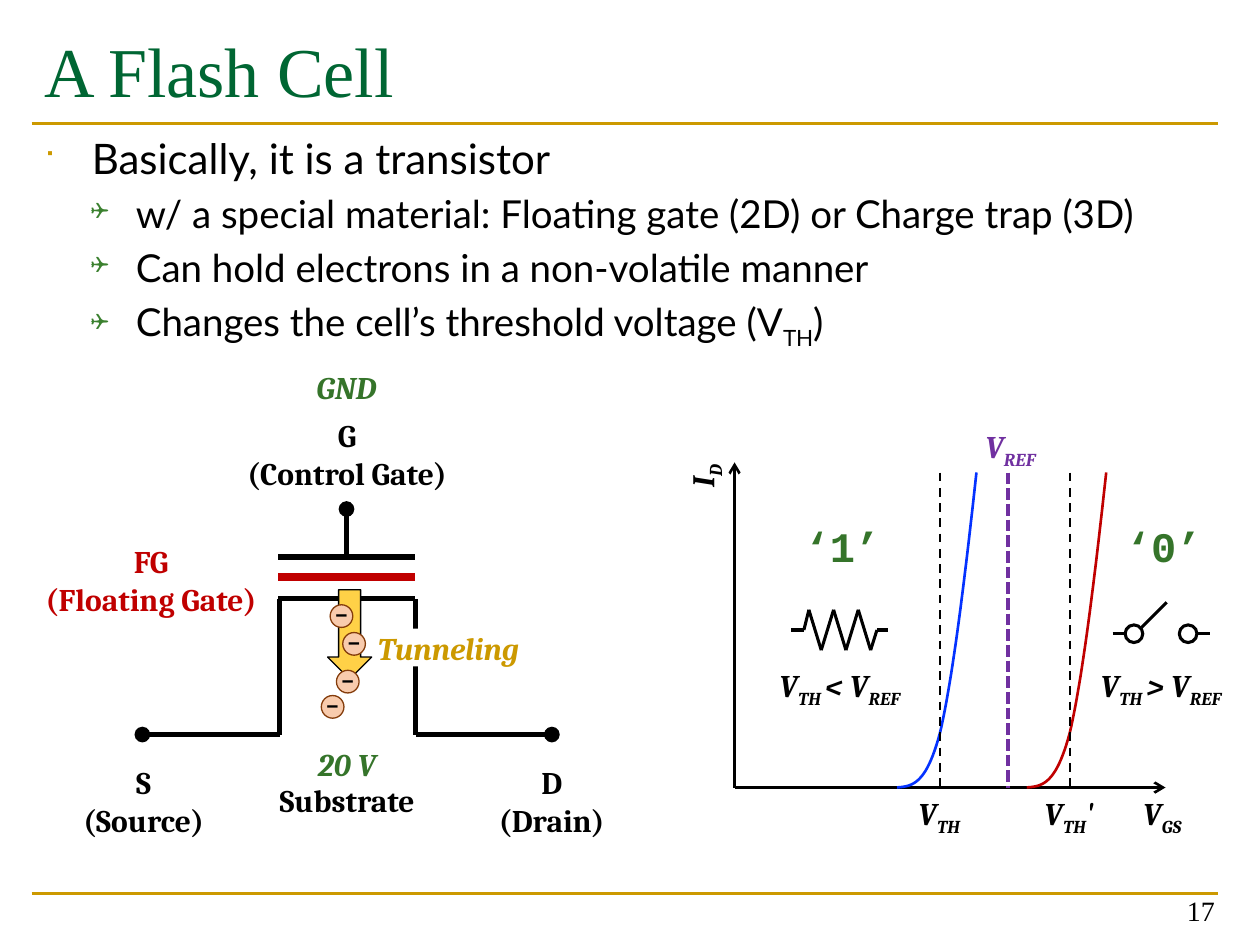
from itertools import pairwise

from lxml import etree
from pptx import Presentation
from pptx.dml.color import RGBColor
from pptx.enum.dml import MSO_LINE
from pptx.enum.shapes import MSO_CONNECTOR, MSO_SHAPE
from pptx.enum.text import MSO_ANCHOR, PP_ALIGN
from pptx.oxml.ns import qn
from pptx.util import Inches, Pt

STRAIGHT = MSO_CONNECTOR.STRAIGHT
RECT, OVAL, DOWN = MSO_SHAPE.RECTANGLE, MSO_SHAPE.OVAL, MSO_SHAPE.DOWN_ARROW
DASH, SHORT_DASH = MSO_LINE.DASH, MSO_LINE.SQUARE_DOT
LEFT, CENTER, RIGHT = PP_ALIGN.LEFT, PP_ALIGN.CENTER, PP_ALIGN.RIGHT
TOP, MIDDLE, BOTTOM = MSO_ANCHOR.TOP, MSO_ANCHOR.MIDDLE, MSO_ANCHOR.BOTTOM

BLACK = RGBColor(0x00, 0x00, 0x00)
WHITE = RGBColor(0xFF, 0xFF, 0xFF)
GOLD = RGBColor(0xCC, 0x99, 0x00)
TITLE_GREEN = RGBColor(0x00, 0x66, 0x33)
BULLET_GREEN = RGBColor(0x3B, 0x81, 0x2F)
GREEN = RGBColor(0x35, 0x74, 0x2A)
RED = RGBColor(0xC0, 0x00, 0x00)
BLUE = RGBColor(0x04, 0x32, 0xFF)
PURPLE = RGBColor(0x70, 0x30, 0xA0)
YELLOW = RGBColor(0xFF, 0xD1, 0x47)
PEACH = RGBColor(0xF8, 0xCB, 0xAD)
BROWN = RGBColor(0x84, 0x3C, 0x0B)

SERIF, BODY, MONO, LABEL = "Times New Roman", "Lato", "Courier New", "Cambria"
MARGIN, CONTENT_W = 0.25, 9.42
PLOT_TOP, PLOT_BASE = 3.75, 6.25


def box(x, y, w, h):
    return [Inches(v) for v in (x, y, w, h)]


def write(p, text, size, font, color, bold=False, italic=False):
    """Fill a paragraph; every second part between bars is a subscript."""
    for i, part in enumerate(text.split("|")):
        r = p.add_run()
        r.text = part
        f = r.font
        f.size, f.name, f.bold, f.italic = Pt(size), font, bold, italic
        f.color.rgb = color
        if i % 2:
            r._r.get_or_add_rPr().set("baseline", "-25000")


def label(s, text, x, y, w, h=0.4, color=BLACK, italic=False, size=18,
          font=LABEL, bold=True, align=CENTER, anchor=MIDDLE):
    sp = s.shapes.add_textbox(*box(x, y, w, h))
    tf = sp.text_frame
    tf.word_wrap = False
    tf.vertical_anchor = anchor
    for i, row in enumerate(text.split("\n")):
        p = tf.add_paragraph() if i else tf.paragraphs[0]
        p.alignment = align
        write(p, row, size, font, color, bold, italic)
    return sp


def line(s, x1, y1, x2, y2, width=1.75, color=BLACK, dash=None, tail=None):
    sp = s.shapes.add_connector(STRAIGHT, *box(x1, y1, x2, y2))
    sp.line.width, sp.line.color.rgb = Pt(width), color
    if dash:
        sp.line.dash_style = dash
    if tail:
        etree.SubElement(sp.line._get_or_add_ln(), qn("a:tailEnd"), type=tail)
    etree.SubElement(sp._element.spPr, qn("a:effectLst"))


def shape(s, kind, x, y, w, h, fill, outline=None, width=0.75):
    sp = s.shapes.add_shape(kind, *box(x, y, w, h))
    sp.shadow.inherit = False
    sp.fill.solid()
    sp.fill.fore_color.rgb = fill
    if outline is None:
        sp.line.fill.background()
    else:
        sp.line.color.rgb, sp.line.width = outline, Pt(width)
    tf = sp.text_frame
    tf.vertical_anchor = MIDDLE
    tf.paragraphs[0].alignment = CENTER
    return sp


def bullet(p, char, color, size_pct, margin, indent):
    pPr = p._p.get_or_add_pPr()
    pPr.set("marL", str(Inches(margin)))
    pPr.set("indent", str(Inches(-indent)))
    clr = etree.SubElement(pPr, qn("a:buClr"))
    etree.SubElement(clr, qn("a:srgbClr"), val=str(color))
    etree.SubElement(pPr, qn("a:buSzPct"), val=str(size_pct * 1000))
    etree.SubElement(pPr, qn("a:buFont"), typeface="Wingdings")
    etree.SubElement(pPr, qn("a:buChar"), char=char)


def bezier(p0, p1, p2, p3, steps=24):
    for i in range(steps + 1):
        t = i / steps
        u = 1 - t
        yield tuple(u**3 * a + 3 * u * u * t * b + 3 * u * t * t * c + t**3 * d
                    for a, b, c, d in zip(p0, p1, p2, p3))


def current_curve(s, x, color):
    """Threshold curve that crosses its dashed marker at x."""
    knee = (x, 5.82)
    upper = bezier((x + 0.29, PLOT_TOP), (x + 0.2, 4.58), (x + 0.1, 5.4), knee)
    lower = bezier(knee, (x - 0.11, 6.23), (x - 0.22, 6.24),
                   (x - 0.34, PLOT_BASE))
    pts = [(Inches(a), Inches(b)) for a, b in [*upper, *lower]]
    fb = s.shapes.build_freeform(*pts[0])
    fb.add_line_segments(pts[1:], close=False)
    sp = fb.convert_to_shape()
    sp.shadow.inherit = False
    sp.fill.background()
    sp.line.color.rgb, sp.line.width = color, Pt(1.5)


def frame_and_text(s):
    for y in (0.98, 7.09):
        line(s, MARGIN, y, MARGIN + CONTENT_W, y, 1.5, GOLD)

    title = s.shapes.title
    title.left, title.top, title.width, title.height = box(
        MARGIN, 0.17, CONTENT_W, 1.17)
    tf = title.text_frame
    tf.text = "A Flash Cell"
    tf.vertical_anchor = TOP
    p = tf.paragraphs[0]
    p.alignment = LEFT
    f = p.runs[0].font
    f.size, f.name, f.color.rgb = Pt(40), SERIF, TITLE_GREEN

    label(s, "17", 7.41, 6.91, 2.33, 0.5, size=16, font=SERIF, bold=False,
          align=RIGHT, anchor=BOTTOM)

    tf = s.shapes.add_textbox(*box(MARGIN, 1, CONTENT_W, 1.9)).text_frame
    tf.word_wrap = True
    rows = ["Basically, it is a transistor",
            "w/ a special material: Floating gate (2D) or Charge trap (3D)",
            "Can hold electrons in a non-volatile manner",
            "Changes the cell’s threshold voltage (V|TH|)"]
    for i, text in enumerate(rows):
        p = tf.add_paragraph() if i else tf.paragraphs[0]
        size = 22 if i else 24
        p.level = 1 if i else 0
        p.space_before = Pt(size * 0.2)
        if i:
            bullet(p, "❑", BULLET_GREEN, 60, 0.73, 0.36)
        else:
            bullet(p, "■", GOLD, 65, 0.38, 0.38)
        write(p, text, size, BODY, BLACK)


def transistor(s):
    left, right, mid, base, top = 2.22, 3.3, 2.75, 5.83, 4.75
    # Source and drain leads, channel, gates
    for wall, end in ((left, 1.13), (right, 4.38)):
        line(s, wall, base, end, base, 3, tail="oval")
        line(s, wall, base, wall, top, 3)
    for y, width, color in ((top, 3, BLACK), (4.42, 3, BLACK), (4.58, 4.5, RED)):
        line(s, left - 0.01, y, right - 0.01, y, width, color)
    line(s, mid, 4.42, mid, 4.04, 3, tail="oval")

    label(s, "S\n(Source)", 0.54, 6, 1.2, 0.71)
    label(s, "D\n(Drain)", 3.85, 6, 1.06, 0.71)
    label(s, "Substrate", 2.1, 6.15, 1.31)
    label(s, "G\n(Control Gate)", 1.83, 3.25, 1.85, 0.71)
    label(s, "FG\n(Floating Gate)", 0.23, 4.25, 1.94, 0.71, RED)
    label(s, "GND", 2.33, 2.87, 0.84, color=GREEN, italic=True)
    label(s, "20 V", 1.76, 5.86, 1.99, color=GREEN, italic=True)

    # Electrons tunnelling out of the floating gate
    shape(s, DOWN, 2.6, 4.68, 0.35, 0.71, YELLOW, BLACK)
    tf = shape(s, RECT, 2.98, 4.99, 1.16, 0.3, WHITE).text_frame
    tf.margin_left = tf.margin_right = 0
    tf.word_wrap = False
    write(tf.paragraphs[0], "Tunneling", 18, LABEL, GOLD, True, True)
    for x, y in ((2.67, 5.32), (2.62, 4.8), (2.72, 5.02), (2.55, 5.52)):
        tf = shape(s, OVAL, x, y, 0.18, 0.18, PEACH, BROWN).text_frame
        tf.margin_top = 0
        tf.word_wrap = False
        write(tf.paragraphs[0], "–", 14, LABEL, BLACK, True)


def threshold_plot(s):
    # Axes
    line(s, 5.83, PLOT_BASE, 5.83, 3.67, 1.5, tail="arrow")
    line(s, 5.83, PLOT_BASE, 9.25, PLOT_BASE, 1.5, tail="arrow")
    label(s, "I|D", 5.39, 3.58, 0.4, italic=True).rotation = 270
    label(s, "V|GS", 8.95, 6.27, 0.55, italic=True)

    # Curves and voltage markers
    for x, color in ((7.46, BLUE), (8.49, RED)):
        current_curve(s, x, color)
        line(s, x, PLOT_TOP, x, PLOT_BASE, 1.25, dash=DASH)
    label(s, "V|TH", 7.17, 6.27, 0.57, italic=True)
    label(s, "V|TH|'", 8.17, 6.27, 0.63, italic=True)
    line(s, 8, PLOT_TOP, 8, PLOT_BASE, 2.25, PURPLE, SHORT_DASH)
    label(s, "V|REF", 7.7, 3.36, 0.64, color=PURPLE, italic=True)

    # Stored values
    for x, sign, bit in ((6.04, "<", "1"), (8.59, ">", "0")):
        label(s, f"V|TH |{sign} V|REF", x, 5.26, 1.25, italic=True)
        label(s, f"‘{bit}’", x - 0.35, 4.08, 1.99, 0.5, GREEN, size=24, font=MONO)

    # Resistor: conducting cell
    teeth = [(6.42 + 0.098 * i, 5.16 if i % 2 else 4.84) for i in range(6)]
    zigzag = [(6.28, 5), (6.38, 5), *teeth, (6.96, 5), (7.05, 5)]
    for start, end in pairwise(zigzag):
        line(s, *start, *end)

    # Open switch: blocked cell
    for x in (8.93, 9.36):
        shape(s, OVAL, x, 4.96, 0.14, 0.14, WHITE, BLACK, 1.75)
    line(s, 9.06, 4.98, 9.26, 4.78)
    for x in (8.83, 9.5):
        line(s, x, 5.03, x + 0.1, 5.03)


def main():
    prs = Presentation()
    prs.slide_width, prs.slide_height = Inches(10), Inches(7.5)
    s = prs.slides.add_slide(prs.slide_layouts[5])
    frame_and_text(s)
    transistor(s)
    threshold_plot(s)
    prs.save("out.pptx")


if __name__ == "__main__":
    main()
